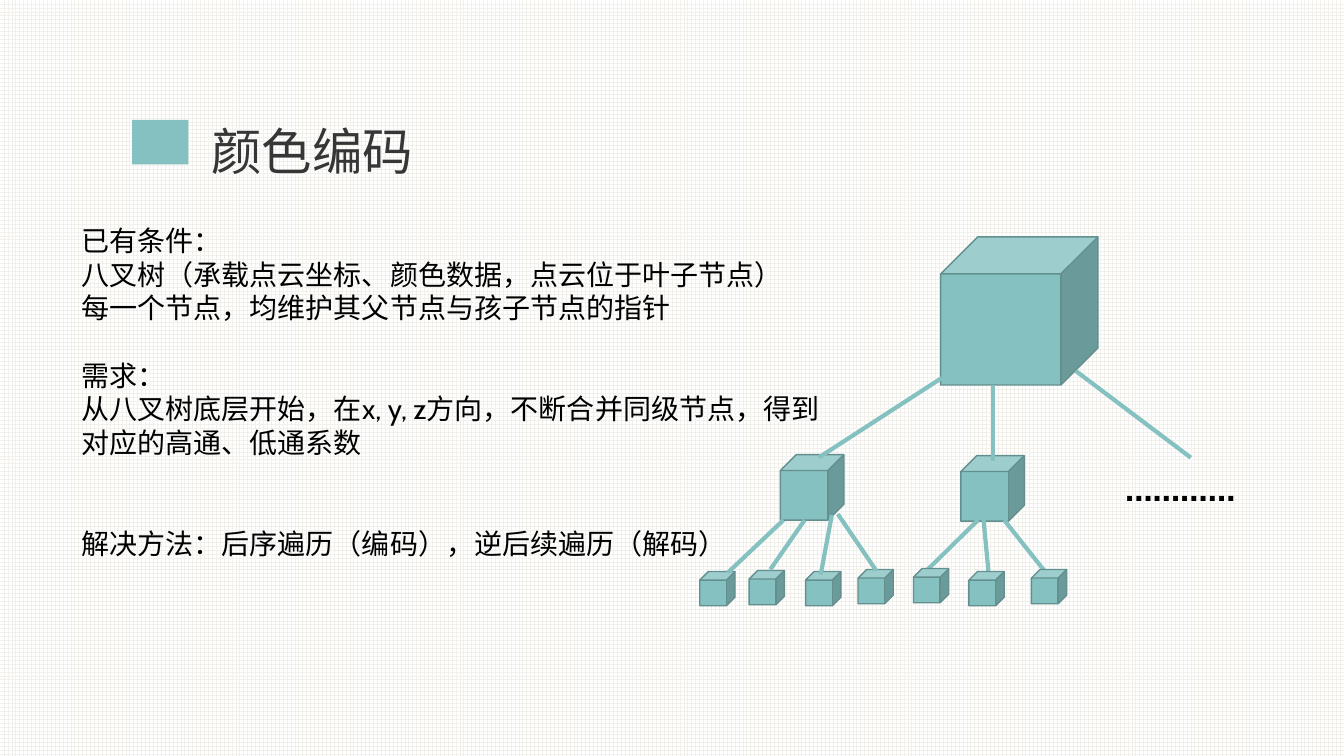
from lxml.etree import SubElement
from pptx import Presentation
from pptx.dml.color import RGBColor
from pptx.enum.dml import MSO_PATTERN
from pptx.enum.shapes import MSO_CONNECTOR, MSO_SHAPE
from pptx.oxml.ns import qn
from pptx.util import Inches, Pt

TEAL = RGBColor(0x86, 0xC1, 0xC1)
EDGE = RGBColor(0x63, 0x8F, 0x8F)
INK = RGBColor(0x36, 0x36, 0x36)
BLACK = RGBColor(0, 0, 0)
GRID = RGBColor(0xF1, 0xF0, 0xEB)
WHITE = RGBColor(0xFF, 0xFF, 0xFF)

TITLE = "颜色编码"
LINE_PITCH = 24
BODY = [
    (0, "已有条件："),
    (0, "八叉树（承载点云坐标、颜色数据，点云位于叶子节点）"),
    (0, "每一个节点，均维护其父节点与孩子节点的指针"),
    (1, "需求："),
    (0, "从八叉树底层开始，在x, y, z方向，不断合并同级节点，得到对应的高通、低通系数"),
    (2, "解决方法：后序遍历（编码），逆后续遍历（解码）"),
]
ELLIPSIS = "…………"

ROOT_SIZE, BRANCH_SIZE, LEAF_SIZE = (1.56, 1.47), (0.63, 0.65), (0.35, 0.34)
ROOT = [(9.33, 2.35)]
BRANCHES = [(9.53, 4.52), (7.74, 4.51)]
LEFT_LEAVES = [(6.94, 5.67), (7.43, 5.66), (7.99, 5.67), (8.51, 5.65)]
RIGHT_LEAVES = [(9.06, 5.64), (9.61, 5.67), (10.23, 5.65)]
LINKS = [
    ((9.34, 3.75), (8.12, 4.54)),
    ((9.85, 3.82), (9.85, 4.57)),
    ((10.67, 3.68), (11.81, 4.54)),
    ((7.77, 5.16), (7.22, 5.68)),
    ((7.98, 5.16), (7.64, 5.65)),
    ((8.25, 5.11), (8.14, 5.7)),
    ((8.31, 5.1), (8.69, 5.66)),
    ((9.7, 5.16), (9.16, 5.69)),
    ((9.75, 5.1), (9.81, 5.74)),
    ((9.96, 5.16), (10.42, 5.74)),
]


def add_solid(page, kind, corner, size, outlined=True):
    solid = page.shapes.add_shape(kind, *map(Inches, corner + size))
    solid.shadow.inherit = False
    solid.fill.solid()
    solid.fill.fore_color.rgb = TEAL
    if outlined:
        solid.line.color.rgb = EDGE
        solid.line.width = Pt(1)
    else:
        solid.line.fill.background()


def add_cubes(page, corners, size):
    for corner in corners:
        add_solid(page, MSO_SHAPE.CUBE, corner, size)


def add_link(page, start, end):
    link = page.shapes.add_connector(MSO_CONNECTOR.STRAIGHT, *map(Inches, start + end))
    link.line.color.rgb = TEAL
    link.line.width = Pt(3)
    SubElement(link._element.spPr, qn("a:effectLst"))


def add_text(page, corner, size, lines, font, points, color, bold=False, spacing=None):
    box = page.shapes.add_textbox(*map(Inches, corner + size))
    frame = box.text_frame
    frame.word_wrap = True
    frame.text = "\n".join(text for _, text in lines)
    for para, (gap, _) in zip(frame.paragraphs, lines):
        if gap:
            para.space_before = Pt(gap * LINE_PITCH)
        if spacing:
            para.line_spacing = spacing
        for span in para.runs:
            span.font.name = font
            span.font.size = Pt(points)
            span.font.bold = bold
            span.font.color.rgb = color


def main():
    deck = Presentation()
    deck.slide_width, deck.slide_height = Inches(13.33), Inches(7.5)
    page = deck.slides.add_slide(deck.slide_layouts[6])
    backdrop = page.background.fill
    backdrop.patterned()
    backdrop.pattern = MSO_PATTERN.LARGE_GRID
    backdrop.fore_color.rgb = GRID
    backdrop.back_color.rgb = WHITE

    add_solid(page, MSO_SHAPE.RECTANGLE, (1.31, 1.19), (0.56, 0.44), outlined=False)
    add_text(page, (2, 0.84), (7.84, 1), [(0, TITLE)], "Roboto", 36, INK, spacing=1.5)
    add_text(page, (0.71, 2.17), (7.79, 3.47), BODY, "Cabin", 20, BLACK)

    add_cubes(page, ROOT, ROOT_SIZE)
    add_cubes(page, BRANCHES, BRANCH_SIZE)
    add_cubes(page, LEFT_LEAVES, LEAF_SIZE)
    for start, end in LINKS:
        add_link(page, start, end)
    add_text(page, (11.06, 4.54), (1.55, 1.04), [(0, ELLIPSIS)], "Cabin", 28, BLACK, bold=True)
    add_cubes(page, RIGHT_LEAVES, LEAF_SIZE)
    deck.save("out.pptx")


if __name__ == "__main__":
    main()
